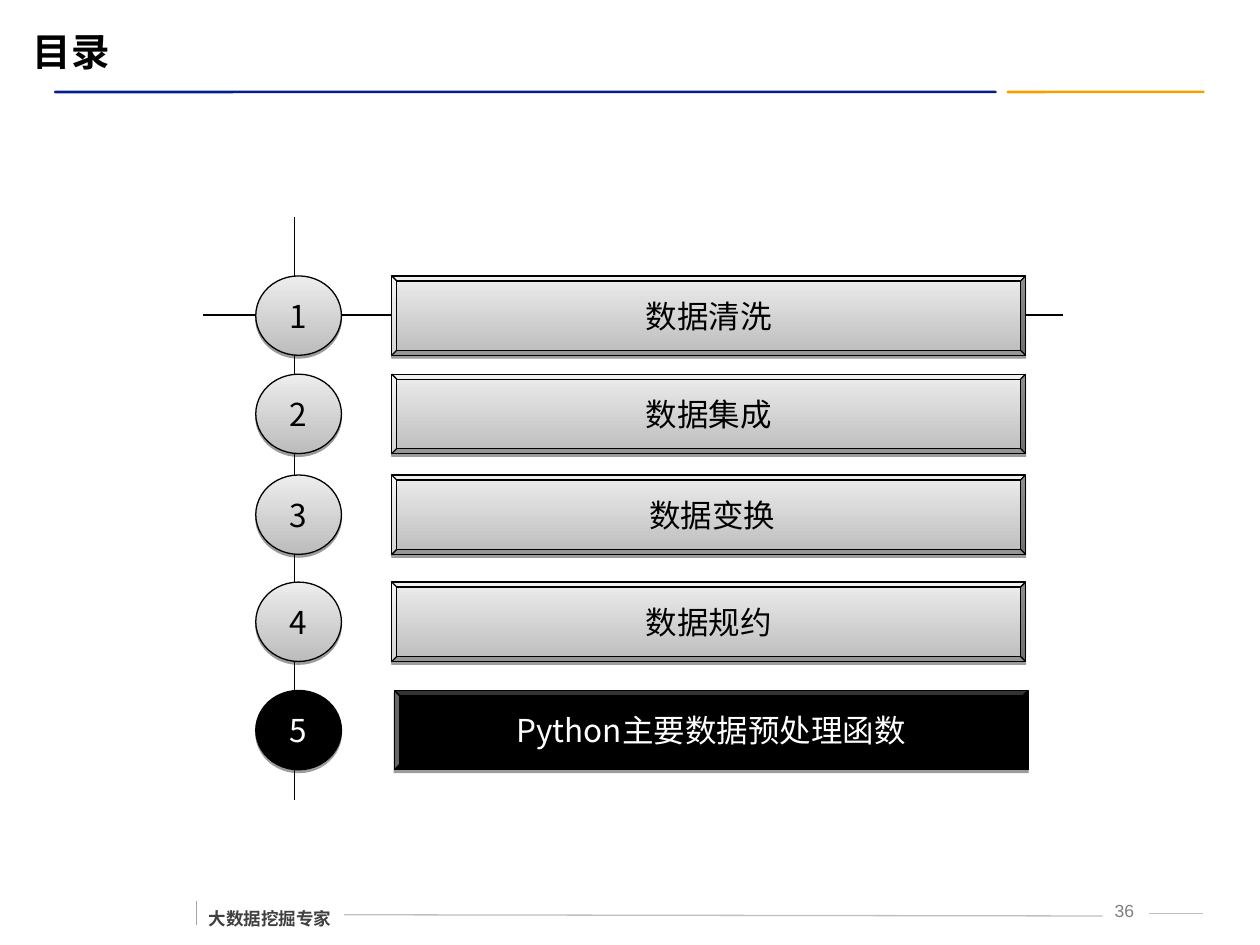
from pptx import Presentation
from pptx.dml.color import RGBColor
from pptx.enum.shapes import MSO_CONNECTOR, MSO_SHAPE
from pptx.enum.text import MSO_ANCHOR as Anchor, PP_ALIGN as Align
from pptx.oxml import parse_xml
from pptx.oxml.ns import nsdecls, qn
from pptx.util import Inches, Pt
from lxml.etree import SubElement

CJK_FONT = "Noto Sans CJK SC"
BLACK, WHITE = "000000", "FFFFFF"
GRADIENT = ("BCBCBC", "EDEDED")  # bottom, top

# Columns and rows of the agenda
CIRCLE_LEFT, CIRCLE_WIDTH = 2.03, 0.68
BAR_LEFT, BAR_WIDTH = 3.11, 5.03
ROW_HEIGHT, BEVEL = 0.63, 0.04
AGENDA = [  # row top, topic
    (2.19, "数据清洗"),
    (2.97, "数据集成"),
    (3.77, " 数据变换"),
    (4.62, "数据规约"),
    (5.48, "Python主要数据预处理函数"),
]
CURRENT = 5


def color(hex_string):
    return RGBColor.from_string(hex_string)


def box(left, top, width, height):
    return [Inches(length) for length in (left, top, width, height)]


def write(paragraph, text, size, hex_color, font=CJK_FONT, bold=False):
    run = paragraph.add_run()
    run.text = text
    run.font.size, run.font.bold, run.font.name = Pt(size), bold, font
    run.font.color.rgb = color(hex_color)
    SubElement(run._r.get_or_add_rPr(), qn("a:ea")).set("typeface", CJK_FONT)


def add_line(slide, start, end, hex_color=BLACK):
    line = slide.shapes.add_connector(
        MSO_CONNECTOR.STRAIGHT, *[Inches(length) for length in start + end])
    line.line.color.rgb = color(hex_color)
    line.line.width = Pt(0.75)
    SubElement(line._element.spPr, qn("a:effectLst"))


def add_rule(slide, left, width, hex_color):
    rule = slide.shapes.add_shape(
        MSO_SHAPE.ROUNDED_RECTANGLE, *box(left, 0.72, width, 0.02))
    rule.adjustments[0] = 0.5
    rule.shadow.inherit = False
    rule.fill.solid()
    rule.fill.fore_color.rgb = color(hex_color)
    rule.line.fill.background()


def add_label(slide, place, text, hex_color, wrap=True, **style):
    frame = slide.shapes.add_textbox(*box(*place)).text_frame
    frame.word_wrap = wrap
    write(frame.paragraphs[0], text, 10, hex_color, **style)
    return frame.paragraphs[0]


def add_drop_shadow(shape):
    shape._element.spPr.append(parse_xml(
        f'<a:effectLst {nsdecls("a")}>'
        '<a:outerShdw blurRad="0" dist="20320" dir="5400000" rotWithShape="0">'
        '<a:srgbClr val="000000"><a:alpha val="38000"/></a:srgbClr>'
        '</a:outerShdw></a:effectLst>'))


def add_button(slide, preset, place, text, is_current):
    shape = slide.shapes.add_shape(preset, *box(*place))
    if is_current:
        shape.fill.solid()
        shape.fill.fore_color.rgb = color(BLACK)
    else:
        shape.fill.gradient()
        shape.fill.gradient_angle = 90
        for stop, shade in zip(shape.fill.gradient_stops, GRADIENT):
            stop.color.rgb = color(shade)
    shape.line.color.rgb = color(BLACK)
    shape.line.width = Pt(0.75)
    add_drop_shadow(shape)
    frame = shape.text_frame
    frame.word_wrap = False
    frame.vertical_anchor = Anchor.MIDDLE
    paragraph = frame.paragraphs[0]
    paragraph.alignment = Align.CENTER
    write(paragraph, text, 18, WHITE if is_current else BLACK)
    return shape


def add_title(slide, text):
    title = slide.shapes.title
    title.left, title.top, title.width, title.height = box(0.16, 0.17, 9.1, 0.47)
    frame = title.text_frame
    frame.vertical_anchor = Anchor.MIDDLE
    frame.paragraphs[0].alignment = Align.LEFT
    write(frame.paragraphs[0], text, 22, BLACK, font="Arial", bold=True)


def add_footer(slide):
    number = add_label(slide, (8.67, 7.09, 0.47, 0.25), " 36", "7F7F7F", font="Arial")
    number.alignment = Align.CENTER
    add_line(slide, (2.73, 7.26), (8.75, 7.27), "BFBFBF")
    add_line(slide, (9.12, 7.25), (9.55, 7.25), "BFBFBF")
    slogan = add_label(slide, (1.56, 7.07, 1.17, 0.35), "大数据挖掘专家",
                       "404040", wrap=False, bold=True)
    slogan.line_spacing = 1.5
    slogan.space_before = Pt(6)
    add_line(slide, (1.56, 7.15), (1.56, 7.34), "A6A6A6")


def add_agenda(slide):
    # Crossing guide lines behind the buttons
    add_line(slide, (2.34, 1.72), (2.34, 6.35))
    add_line(slide, (1.61, 2.5), (8.44, 2.5))
    for number, (top, topic) in enumerate(AGENDA, start=1):
        is_current = number == CURRENT
        nudge = 0.02 if is_current else 0
        add_button(slide, MSO_SHAPE.OVAL,
                   (CIRCLE_LEFT, top, CIRCLE_WIDTH, ROW_HEIGHT),
                   str(number), is_current)
        bar = add_button(slide, MSO_SHAPE.BEVEL,
                         (BAR_LEFT + nudge, top, BAR_WIDTH, ROW_HEIGHT),
                         topic, is_current)
        bar.adjustments[0] = BEVEL / ROW_HEIGHT


def main():
    presentation = Presentation()
    presentation.slide_width, presentation.slide_height = Inches(10), Inches(7.5)
    slide = presentation.slides.add_slide(presentation.slide_layouts[5])
    add_title(slide, "目录")
    add_rule(slide, 7.99, 1.57, "F5A000")
    add_rule(slide, 0.43, 7.48, "031D89")
    add_footer(slide)
    add_agenda(slide)
    presentation.save("out.pptx")


if __name__ == "__main__":
    main()
